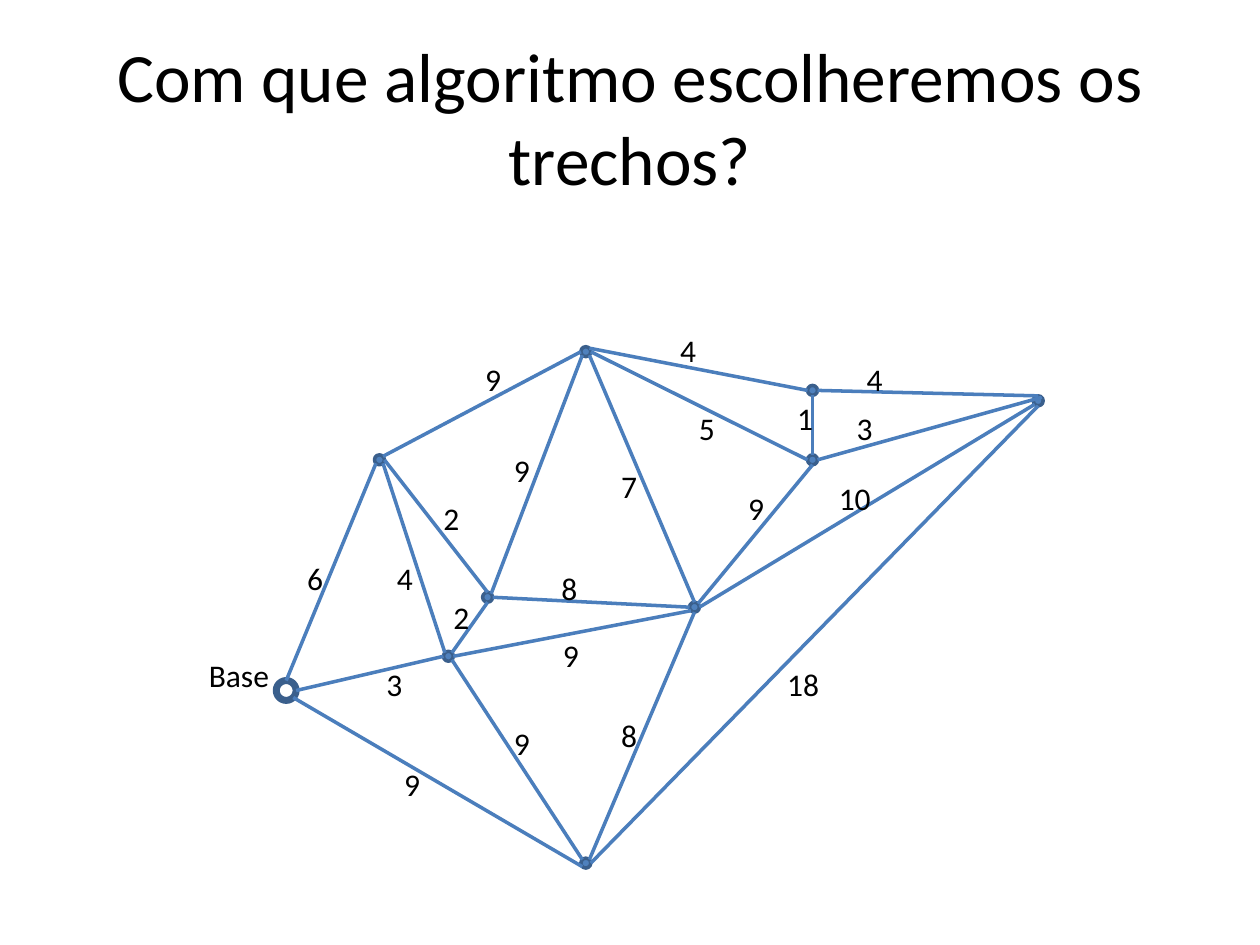
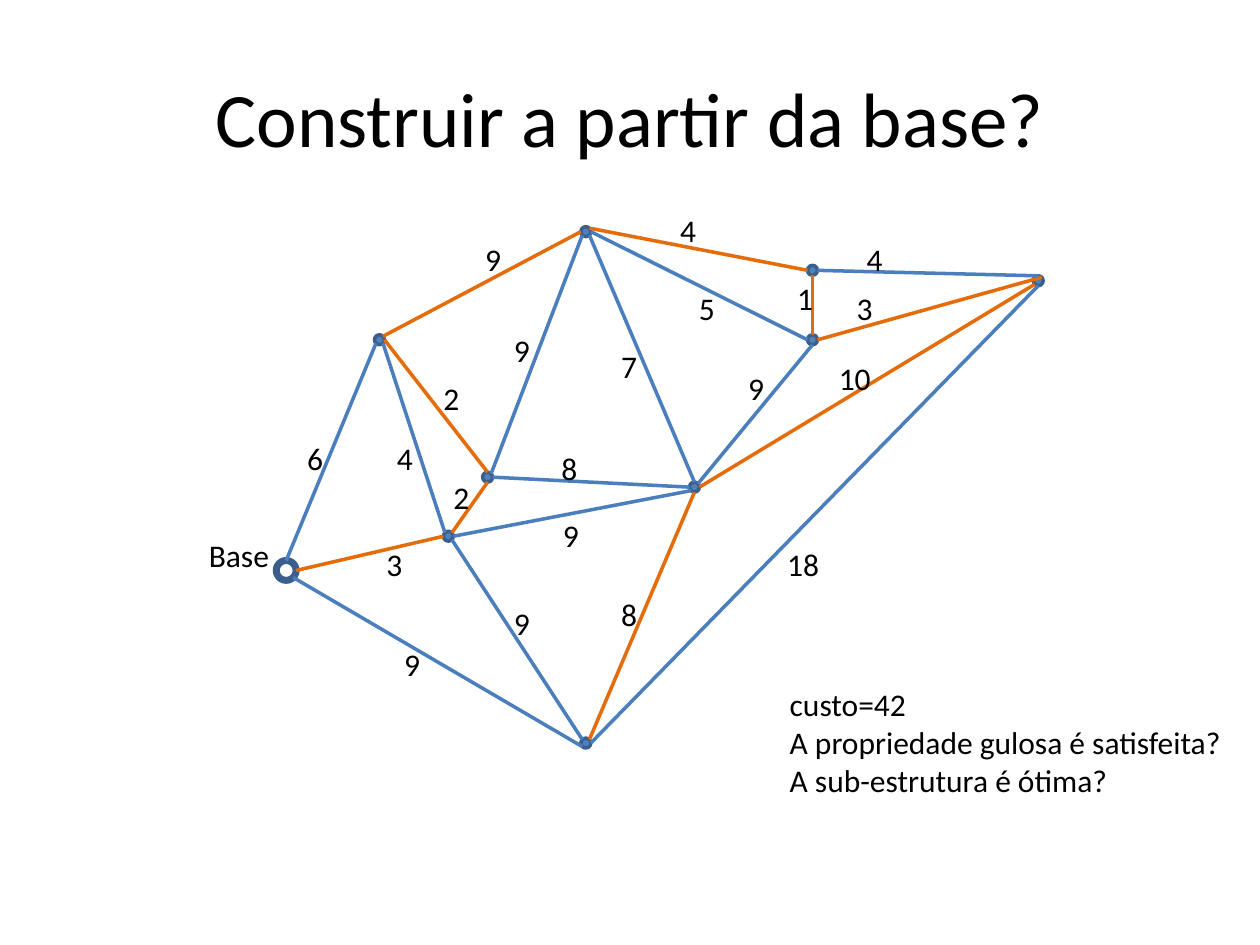
"""Build two slides that weigh the routes of one graph."""
from lxml import etree
from pptx import Presentation, util as u
from pptx.dml.color import RGBColor
from pptx.enum import shapes, text
from pptx.oxml.ns import qn

Cm, Pt = u.Cm, u.Pt
FONT = "Calibri"
HUES = {
    "text": "000000",
    "node": "4F81BD",
    "rim": "3A5F8C",
    "edge": "4B7EBC",
    "pick": "E46C0A",
}

NODES = {
    "base": (5.77, 13.92),
    "low": (9.04, 13.23),
    "west": (7.65, 9.27),
    "mid": (9.83, 12.04),
    "south": (11.81, 17.4),
    "hub": (14, 12.24),
    "north": (11.81, 7.09),
    "east": (20.93, 8.08),
    "lower": (16.38, 9.27),
    "upper": (16.38, 7.87),
}

SITES = {
    "n": (0, -1), "s": (0, 1), "w": (-1, 0), "e": (1, 0),
    "nw": (-0.71, -0.71), "ne": (0.71, -0.71),
    "sw": (-0.71, 0.71), "se": (0.71, 0.71),
}

EDGES = [
    ("base", "n", "west", "sw", "6", 5.94, 11.15),
    ("base", "e", "low", "w", "3", 7.54, 13.28),
    ("west", "e", "mid", "n", "2", 8.69, 9.93),
    ("low", "ne", "mid", "s", "2", 8.89, 11.94),
    ("low", "nw", "west", "se", "4", 7.75, 11.15),
    ("south", "ne", "hub", "s", "8", 12.27, 14.3),
    ("low", "se", "south", "nw", "9", 10.11, 14.48),
    ("hub", "w", "mid", "e", "8", 11.07, 11.35),
    ("east", "ne", "lower", "e", "3", 17.02, 8.13),
    ("west", "ne", "north", "w", "9", 9.53, 7.14),
    ("lower", "n", "upper", "s", "1", 15.82, 7.92),
    ("north", "ne", "upper", "w", "4", 13.46, 6.55),
    ("north", "sw", "mid", "ne", "9", 10.11, 8.97),
    ("base", "se", "south", "sw", "9", 7.9, 15.29),
    ("low", "e", "hub", "sw", "9", 11.1, 12.7),
    ("north", "se", "hub", "n", "7", 12.27, 9.3),
    ("north", "e", "lower", "w", "5", 13.84, 8.13),
    ("south", "e", "east", "s", "18", 15.62, 13.28),
    ("lower", "s", "hub", "ne", "9", 14.83, 9.73),
    ("east", "sw", "hub", "e", "10", 16.66, 9.53),
    ("upper", "e", "east", "n", "4", 17.22, 7.14),
]

TREE = {
    ("base", "low"), ("low", "mid"), ("west", "mid"),
    ("west", "north"), ("north", "upper"), ("lower", "upper"),
    ("east", "lower"), ("east", "hub"), ("south", "hub"),
}

PAGES = [
    ("Com que algoritmo escolheremos os trechos?", 39.6, 0, set(), ""),
    ("Construir a partir da base?", 44, 2.42, TREE,
     "custo=42\nA propriedade gulosa é satisfeita?\nA sub-estrutura é ótima?"),
]


def write(slide, words, x, y, w, h, size=18, wrap=False):
    box = slide.shapes.add_textbox(Cm(x), Cm(y), Cm(w), Cm(h))
    frame = box.text_frame
    frame.word_wrap = wrap
    frame.text = words
    for para in frame.paragraphs:
        for run in para.runs:
            run.font.name = FONT
            run.font.size = Pt(size)
            run.font.color.rgb = RGBColor.from_string(HUES["text"])
    return frame


def place(name, site, rise):
    x, y = NODES[name]
    dx, dy = SITES[site]
    rad = 0.2 if name == "base" else 0.1
    return Cm(x + rad * dx), Cm(y + rad * dy - rise)


deck = Presentation()
deck.slide_width, deck.slide_height = Cm(25.4), Cm(19.05)

for title, size, rise, picks, note in PAGES:
    slide = deck.slides.add_slide(deck.slide_layouts[6])
    head = write(slide, title, 1.27, 0.76, 22.86, 3.18, size, True)
    head.vertical_anchor = text.MSO_ANCHOR.MIDDLE
    head.paragraphs[0].alignment = text.PP_ALIGN.CENTER

    for name, (x, y) in NODES.items():
        base = name == "base"
        rad = 0.2 if base else 0.1
        dot = slide.shapes.add_shape(
            shapes.MSO_SHAPE.FLOWCHART_CONNECTOR,
            Cm(x - rad), Cm(y - rad - rise), Cm(2 * rad), Cm(2 * rad))
        dot.shadow.inherit = False
        dot.line.color.rgb = RGBColor.from_string(HUES["rim"])
        dot.line.width = Pt(4 if base else 2)
        if base:
            dot.fill.background()
        else:
            dot.fill.solid()
            dot.fill.fore_color.rgb = RGBColor.from_string(HUES["node"])

    for start, out, end, into, cost, x, y in EDGES:
        line = slide.shapes.add_connector(
            shapes.MSO_CONNECTOR.STRAIGHT,
            *place(start, out, rise), *place(end, into, rise))
        hue = HUES["pick" if (start, end) in picks else "edge"]
        line.line.color.rgb = RGBColor.from_string(hue)
        line.line.width = Pt(2)
        etree.SubElement(line._element.spPr, qn("a:effectLst"))

    for *_, cost, x, y in EDGES:
        write(slide, cost, x, y - rise, 0.51 + 0.33 * len(cost), 1.02)
    write(slide, "Base", 3.96, 13.11 - rise, 1.73, 1.02)
    if note:
        write(slide, note, 15.67, 13.69, 9.32, 3.33)

deck.save("out.pptx")
